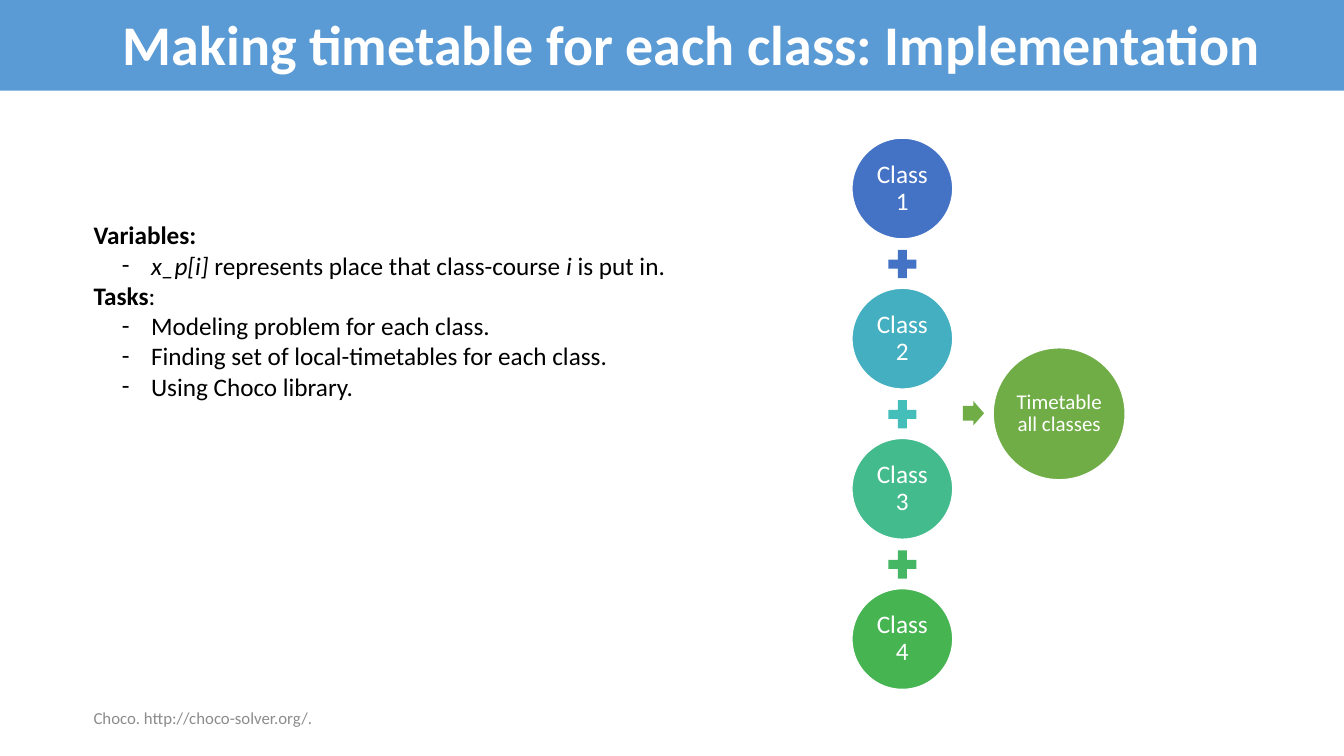
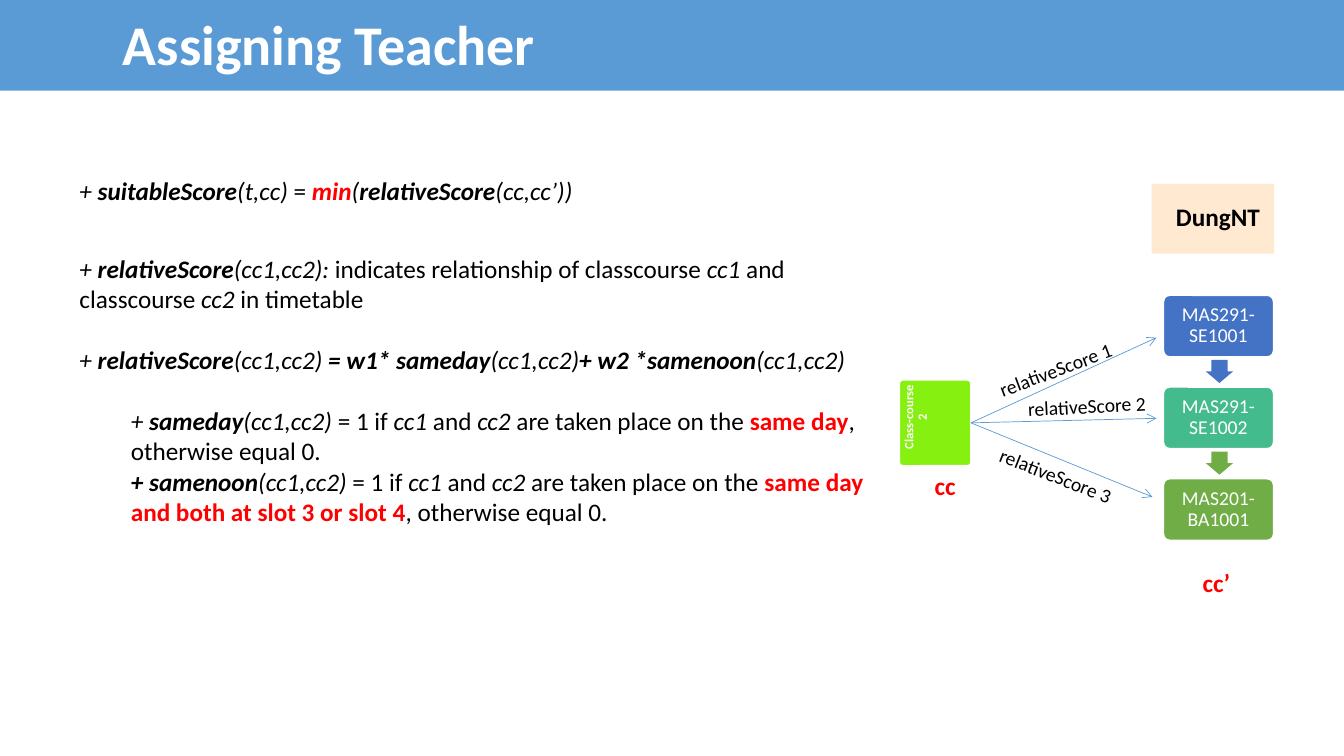
from lxml import etree
from pptx import Presentation
from pptx.dml.color import RGBColor
from pptx.enum.shapes import MSO_CONNECTOR, MSO_SHAPE
from pptx.enum.text import MSO_ANCHOR, PP_ALIGN
from pptx.oxml.ns import qn
from pptx.util import Emu, Pt

RECT = MSO_SHAPE.RECTANGLE
ROUND_RECT = MSO_SHAPE.ROUNDED_RECTANGLE
OVAL = MSO_SHAPE.OVAL
PLUS = MSO_SHAPE.MATH_PLUS
RIGHT_ARROW = MSO_SHAPE.RIGHT_ARROW
DOWN_ARROW = MSO_SHAPE.DOWN_ARROW
STRAIGHT = MSO_CONNECTOR.STRAIGHT
TOP, MIDDLE = MSO_ANCHOR.TOP, MSO_ANCHOR.MIDDLE
LEFT, CENTER = PP_ALIGN.LEFT, PP_ALIGN.CENTER

PX = 9144  # 100 px to the inch
SLIDE_W, SLIDE_H = 1333, 750
FONT = "Calibri"
WHITE, BLACK, RED, GREY = "FFFFFF", "000000", "FF0000", "8C8C8C"
BAND, BLUE, TEAL, GREEN = "5B9BD5", "4472C4", "43BB8D", "70AD47"
LIME, PEACH = "86F011", "FFE8CC"


def px(n):
    return Emu(n * PX)


def rgb(color):
    return RGBColor.from_string(color)


def style_run(r, size, color, style=""):
    """Style letters: b bold, i italic, r red."""
    r.font.name = FONT
    r.font.size = Pt(size)
    r.font.bold = "b" in style
    r.font.italic = "i" in style
    r.font.color.rgb = rgb(RED if "r" in style else color)


def setup_frame(tf, anchor, insets):
    tf.word_wrap = True
    tf.vertical_anchor = anchor
    tf.margin_left, tf.margin_top, tf.margin_right, tf.margin_bottom = map(px, insets)


def write_label(tf, text, size, color=WHITE, style="", align=CENTER,
                anchor=MIDDLE, insets=(3, 3, 3, 3), spacing=0.9):
    setup_frame(tf, anchor, insets)
    tf.text = text
    p = tf.paragraphs[0]
    p.alignment = align
    p.line_spacing = spacing
    style_run(p.runs[0], size, color, style)


def add_box(s, kind, box, fill, line=None, adj=()):
    sp = s.shapes.add_shape(kind, *map(px, box))
    sp.shadow.inherit = False
    sp.fill.solid()
    sp.fill.fore_color.rgb = rgb(fill)
    if line:
        sp.line.color.rgb = rgb(line)
        sp.line.width = Pt(1)
    else:
        sp.line.fill.background()
    for i, value in enumerate(adj):
        sp.adjustments[i] = value
    return sp


def add_label(s, box, text, size, color, rotation=0, **options):
    sp = s.shapes.add_textbox(*map(px, box))
    sp.rotation = rotation
    write_label(sp.text_frame, text, size, color, **options)


def add_body(s, box, paragraphs):
    """Each paragraph is (runs, indent, points before, bulleted)."""
    tf = s.shapes.add_textbox(*map(px, box)).text_frame
    setup_frame(tf, TOP, (10, 5, 10, 5))
    for i, (runs, indent, before, bulleted) in enumerate(paragraphs):
        p = tf.add_paragraph() if i else tf.paragraphs[0]
        p.space_before = Pt(before)
        pPr = p._p.get_or_add_pPr()
        pPr.set("marL", str(px(indent)))
        if bulleted:
            pPr.set("indent", str(px(-29)))
            etree.SubElement(pPr, qn("a:buFont")).set("typeface", FONT)
            etree.SubElement(pPr, qn("a:buChar")).set("char", "-")
        for text, style in runs:
            r = p.add_run()
            r.text = text
            style_run(r, 18, BLACK, style)


def add_arrow(s, source, end):
    line = s.shapes.add_connector(STRAIGHT, 0, 0, *map(px, end))
    line.begin_connect(source, 3)
    line.line.color.rgb = rgb(BAND)
    line.line.width = Pt(0.5)
    etree.SubElement(line.line._get_or_add_ln(), qn("a:tailEnd")).set("type", "arrow")
    etree.SubElement(line._element.spPr, qn("a:effectLst"))


def set_alpha(sp, percent):
    for color in sp._element.spPr.iter(qn("a:srgbClr")):
        etree.SubElement(color, qn("a:alpha")).set("val", str(percent * 1000))


def new_slide(prs, title):
    s = prs.slides.add_slide(prs.slide_layouts[6])
    band = add_box(s, RECT, (0, 0, SLIDE_W, 90), BAND)
    write_label(band.text_frame, title, 40, style="b", align=LEFT,
                insets=(122, 0, 0, 4), spacing=1)
    return s


def build_implementation(prs):
    s = new_slide(prs, "Making timetable for each class: Implementation")

    # Variables and tasks
    heads = [[("Variables:", "b")], [("Tasks", "b"), (":", "")]]
    variables = [[("x_p[i]", "i"), (" represents place that class-course ", ""),
                  ("i", "i"), (" is put in.", "")]]
    tasks = [[(text, "")] for text in (
        "Modeling problem for each class.",
        "Finding set of local-timetables for each class.",
        "Using Choco library.")]
    paragraphs = []
    for head, items in zip(heads, (variables, tasks)):
        paragraphs.append((head, 0, 0, False))
        paragraphs += [(item, 57, 0, True) for item in items]
    add_body(s, (83, 213, 681, 222), paragraphs)
    add_label(s, (83, 692, 450, 40), "Choco. http://choco-solver.org/.", 12, GREY,
              align=LEFT, insets=(10, 5, 10, 5), spacing=1)

    # Column of classes joined by plus signs
    for i, color in enumerate((BLUE, "43AFC0", TEAL, "45B451")):
        circle = add_box(s, OVAL, (845, 137 + 149 * i, 100, 100), color, WHITE)
        write_label(circle.text_frame, f"Class {i + 1}", 18)
    for i, color in enumerate((BLUE, "43BEB9", "45B664")):
        add_box(s, PLUS, (876, 243 + 149 * i, 38, 38), color)

    # Result
    add_box(s, RIGHT_ARROW, (955, 398, 21, 24), GREEN, adj=(0.6, 0.5))
    result = add_box(s, OVAL, (985, 345, 131, 131), GREEN, WHITE)
    write_label(result.text_frame, "Timetable all classes", 15, insets=(2, 2, 2, 2))


def build_teacher(prs):
    s = new_slide(prs, "Assigning Teacher")

    # Courses already given to the teacher
    courses = (("MAS291-SE1001", BLUE), ("MAS291-SE1002", TEAL),
               ("MAS201-BA1001", GREEN))
    for i, (name, color) in enumerate(courses):
        top = 293 + 91 * i
        if i:
            arrow_color = BLUE if i == 1 else GREEN
            add_box(s, DOWN_ARROW, (1196, top - 27, 27, 23), arrow_color, adj=(0.6, 0.5))
        course = add_box(s, ROUND_RECT, (1154, top, 109, 61), color, WHITE, (0.1,))
        write_label(course.text_frame, name, 14, insets=(6, 6, 6, 6))

    # Candidate class-course
    candidate = add_box(s, ROUND_RECT, (892, 377, 71, 85), LIME, WHITE, (0.05,))
    add_label(s, (874, 395, 70, 34), "Class-course 2", 9, WHITE, 270, style="b",
              anchor=TOP, insets=(0, 3, 4, 0))

    # Scores from the candidate to each course
    scores = (((1147, 335), (972, 350), -20.4),
              ((1147, 415), (1003, 386), -3),
              ((1143, 493), (972, 455), 21.5))
    for i, (end, corner, angle) in enumerate(scores, 1):
        add_arrow(s, candidate, end)
        add_label(s, (*corner, 150, 34), f"relativeScore {i}", 14, BLACK, angle,
                  anchor=TOP, insets=(5, 5, 5, 5), spacing=1)

    # Teacher
    teacher = add_box(s, RECT, (1143, 183, 120, 68), PEACH, PEACH)
    set_alpha(teacher, 90)
    write_label(teacher.text_frame, "DungNT", 18, BLACK, "b", insets=(19, 9, 9, 9))

    # Score definitions
    args = ("(cc1,cc2)", "i")
    condition = [args, (" = 1 if ", ""), ("cc1", "i"), (" and ", ""), ("cc2", "i"),
                 (" are taken place on the ", "")]
    otherwise = (", otherwise equal 0.", "")
    add_body(s, (69, 169, 830, 468), [
        ([("+ ", "i"), ("suitableScore", "bi"), ("(t,cc)", "i"), (" = ", ""),
          ("min", "bir"), ("(", "i"), ("relativeScore", "bi"), ("(cc,cc’))", "i")],
         0, 0, False),
        ([("+ ", "i"), ("relativeScore", "bi"), ("(cc1,cc2): ", "i"),
          ("indicates relationship of classcourse ", ""), ("cc1", "i"),
          (" and classcourse ", ""), ("cc2", "i"), (" in timetable", "")],
         0, 34, False),
        ([("+", "i"), (" relativeScore", "bi"), args, (" = w1* sameday", "bi"), args,
          ("+ w2 *samenoon", "bi"), args], 0, 22, False),
        ([("+ ", "i"), ("sameday", "bi"), *condition, ("same day", "br"), otherwise],
         51, 22, False),
        ([("+ samenoon", "bi"), *condition,
          ("same day and both at slot 3 or slot 4", "br"), otherwise], 51, 0, False),
    ])

    # Captions
    for text, left, top in (("cc’", 1156, 558), ("cc", 887, 462)):
        add_label(s, (left, top, 101, 40), text, 18, RED, style="br", anchor=TOP,
                  insets=(10, 5, 10, 5), spacing=1)


def main():
    prs = Presentation()
    prs.slide_width, prs.slide_height = px(SLIDE_W), px(SLIDE_H)
    build_implementation(prs)
    build_teacher(prs)
    prs.save("out.pptx")


if __name__ == "__main__":
    main()
